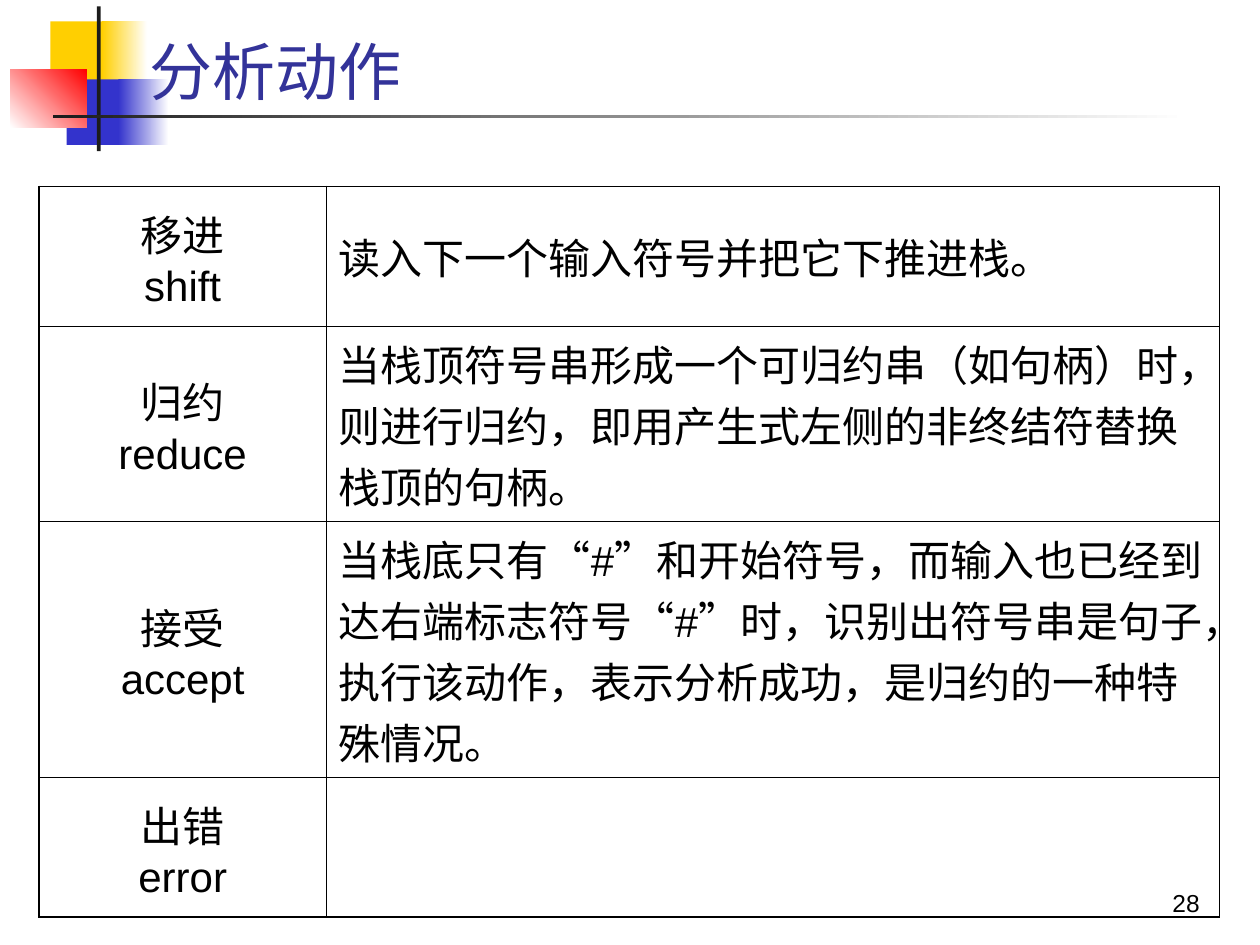
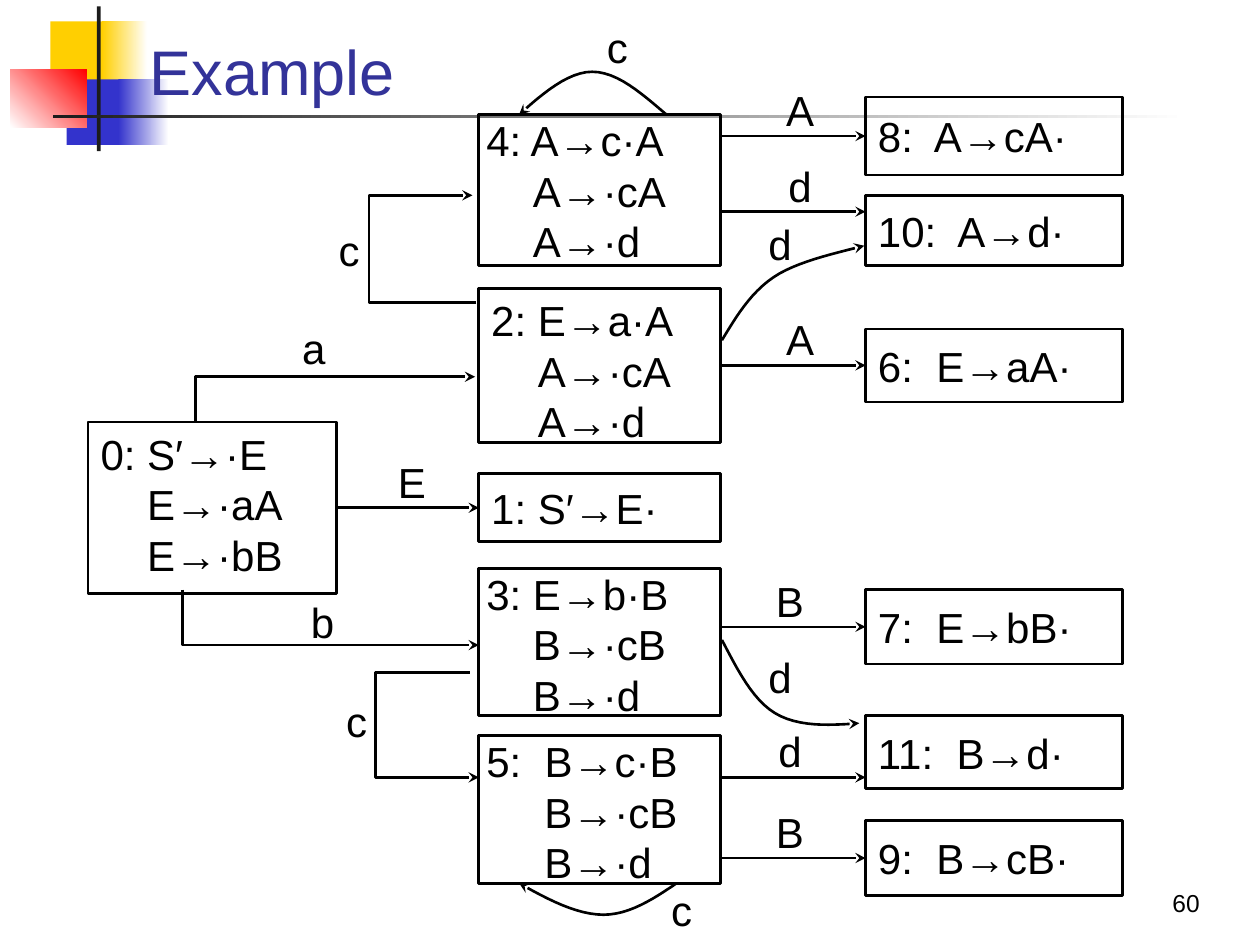
from dataclasses import dataclass

from lxml import etree
from pptx import Presentation
from pptx.dml.color import RGBColor
from pptx.enum import shapes, text
from pptx.oxml import ns
from pptx.util import Inches, Pt


@dataclass(frozen=True)
class Theme:
    font: str = "Arial"
    title_size: int = 36
    body_size: int = 24
    number_size: int = 14
    ink: str = "000000"
    title: str = "333399"
    bar: str = "1C1C1C"
    yellow: str = "FFCF01"
    blue: str = "3333CC"
    red: str = "FF0000"
    white: str = "FFFFFF"
    line: float = 1.5
    border: float = 1


THEME = Theme()
WIDTH, HEIGHT = 10, 7.5
TOP, MIDDLE, BOTTOM = text.MSO_ANCHOR.TOP, text.MSO_ANCHOR.MIDDLE, text.MSO_ANCHOR.BOTTOM
LEFT, CENTER, RIGHT = text.PP_ALIGN.LEFT, text.PP_ALIGN.CENTER, text.PP_ALIGN.RIGHT

# Place, then one colour, or two colours and the angle between them
ORNAMENT = [
    ((0.40, 0.17, 0.48, 0.52), (THEME.yellow,)),
    ((0.81, 0.17, 0.36, 0.52), (THEME.yellow, THEME.white, 0)),
    ((0.53, 0.63, 0.46, 0.52), (THEME.blue,)),
    ((0.94, 0.63, 0.40, 0.52), (THEME.blue, THEME.white, 0)),
    ((0.08, 0.55, 0.61, 0.46), (THEME.white, THEME.red, 45)),
    ((0.77, 0.05, 0.03, 1.15), (THEME.bar,)),
    ((0.42, 0.91, 9.00, 0.03), (THEME.bar, THEME.white, 0)),
]

ACTIONS = [
    (("移进", "shift"), "读入下一个输入符号并把它下推进栈。"),
    (("归约", "reduce"),
     "当栈顶符号串形成一个可归约串（如句柄）时，则进行归约，即用产生式左侧的非终结符替换栈顶的句柄。"),
    (("接受", "accept"),
     "当栈底只有“#”和开始符号，而输入也已经到达右端标志符号“#”时，识别出符号串是句子，"
     "执行该动作，表示分析成功，是归约的一种特殊情况。"),
    (("出错", "error"), ""),
]
ACTION_COLUMNS = (2.28, 7.09)
ACTION_ROWS = (1.11, 1.55, 2.03, 1.11)

# Columns of the automaton: left edge and width of their states
START, CLOSURE, FINAL = (0.7, 1.97), (3.8, 1.92), (6.87, 2.04)
ROOMY, TIGHT = (0.1, 0.05), (0.06, 0)  # left and top insets

# number: (column, top, height, insets, indent of later items, items)
STATES = {
    0: (START, 3.35, 1.36, ROOMY, 0.37, ("0: S′→·E", "E→·aA", "E→·bB")),
    4: (CLOSURE, 0.91, 1.20, TIGHT, 0.37, ("4: A→c·A", "A→·cA", "A→·d")),
    2: (CLOSURE, 2.29, 1.22, ROOMY, 0.37, ("2: E→a·A", "A→·cA", "A→·d")),
    1: (CLOSURE, 3.76, 0.54, ROOMY, 0, ("1: S′→E·",)),
    3: (CLOSURE, 4.51, 1.17, TIGHT, 0.37, ("3: E→b·B", "B→·cB", "B→·d")),
    5: (CLOSURE, 5.84, 1.17, TIGHT, 0.46, ("5:  B→c·B", "B→·cB", "B→·d")),
    8: (FINAL, 0.77, 0.62, ROOMY, 0, ("8:  A→cA·",)),
    10: (FINAL, 1.55, 0.56, ROOMY, 0, ("10:  A→d·",)),
    6: (FINAL, 2.61, 0.58, ROOMY, 0, ("6:  E→aA·",)),
    7: (FINAL, 4.68, 0.59, ROOMY, 0, ("7:  E→bB·",)),
    11: (FINAL, 5.68, 0.58, ROOMY, 0, ("11:  B→d·",)),
    9: (FINAL, 6.51, 0.60, ROOMY, 0, ("9:  B→cB·",)),
}

# (source, target, symbol, centre of the symbol, height or None for the target's middle)
STRAIGHT = [
    (0, 1, "E", 3.27, None),
    (4, 8, "A", 6.35, None),
    (4, 10, "d", 6.35, 1.68),
    (2, 6, "A", 6.35, None),
    (3, 7, "B", 6.27, None),
    (5, 11, "d", 6.27, 6.17),
    (5, 9, "B", 6.27, None),
]

# (symbol, centre of the symbol, corner points)
BENT = [
    ("c", (2.77, 1.98), [(3.78, 2.40), (2.93, 2.40), (2.93, 1.55), (3.75, 1.55)]),
    ("a", (2.49, 2.76), [(1.55, 3.34), (1.55, 2.99), (3.77, 2.99)]),
    ("b", (2.56, 4.93), [(1.45, 4.68), (1.45, 5.12), (3.80, 5.12)]),
    ("c", (2.83, 5.72), [(3.73, 5.34), (2.98, 5.34), (2.98, 6.17), (3.80, 6.17)]),
]

# (symbol, centre of the symbol, start, then two handles and an end per Bézier piece)
CURVED = [
    ("c", (4.90, 0.37), [(5.29, 0.91), (5.09, 0.74), (4.90, 0.57), (4.70, 0.57),
                         (4.51, 0.57), (4.31, 0.74), (4.12, 0.91)]),
    ("d", (6.19, 1.93), [(5.73, 2.70), (5.84, 2.52), (5.95, 2.33), (6.14, 2.20),
                         (6.32, 2.08), (6.59, 2.02), (6.86, 1.95)]),
    ("d", (6.19, 5.37), [(5.73, 5.08), (5.85, 5.31), (5.97, 5.55), (6.15, 5.66),
                         (6.33, 5.77), (6.58, 5.76), (6.82, 5.74)]),
    ("c", (5.41, 7.22), [(5.37, 7.01), (5.18, 7.14), (4.99, 7.26), (4.79, 7.26),
                         (4.58, 7.26), (4.35, 7.14), (4.12, 7.01)]),
]
CURVE_STEPS = 12


def rgb(color):
    return RGBColor.from_string(color)


def inches(*lengths):
    return [Inches(length) for length in lengths]


def write(frame, lines, size=THEME.body_size, color=THEME.ink, align=LEFT, anchor=MIDDLE):
    frame.text = "\n".join(lines)
    frame.vertical_anchor = anchor
    for para in frame.paragraphs:
        para.alignment = align
        para.font.size = Pt(size)
        for span in para.runs:
            span.font.name = THEME.font
            span.font.size = Pt(size)
            span.font.color.rgb = rgb(color)


def add_text(page, place, words, wrap=True, **style):
    frame = page.shapes.add_textbox(*inches(*place)).text_frame
    frame.word_wrap = wrap
    write(frame, [words], **style)
    return frame


def add_box(page, place):
    box = page.shapes.add_shape(shapes.MSO_SHAPE.RECTANGLE, *inches(*place))
    box.shadow.inherit = False
    return box


def add_page(deck, title, number):
    """Add a blank page with the ornament, title and page number."""
    page = deck.slides.add_slide(deck.slide_layouts[6])
    for place, (color, *blend) in ORNAMENT:
        box = add_box(page, place)
        box.line.fill.background()
        if blend:
            other, angle = blend
            box.fill.gradient()
            box.fill.gradient_angle = angle
            for stop, shade in zip(box.fill.gradient_stops, (color, other)):
                stop.color.rgb = rgb(shade)
        else:
            box.fill.solid()
            box.fill.fore_color.rgb = rgb(color)
    frame = add_text(page, (1.09, 0.23, 8.67, 0.68), title, size=THEME.title_size,
                     color=THEME.title, anchor=BOTTOM)
    frame.paragraphs[0].line_spacing = 0.85
    add_text(page, (7.54, 6.83, 2.08, 0.5), str(number), size=THEME.number_size,
             align=RIGHT, anchor=BOTTOM)
    return page


def add_borders(cell):
    properties = cell._tc.get_or_add_tcPr()
    for index, side in enumerate(("a:lnL", "a:lnR", "a:lnT", "a:lnB")):
        edge = etree.Element(ns.qn(side), w=str(Pt(THEME.border)))
        fill = etree.SubElement(edge, ns.qn("a:solidFill"))
        etree.SubElement(fill, ns.qn("a:srgbClr"), val=THEME.ink)
        properties.insert(index, edge)


def add_action_table(page):
    place = (0.31, 1.48, sum(ACTION_COLUMNS), sum(ACTION_ROWS))
    table = page.shapes.add_table(len(ACTIONS), 2, *inches(*place)).table
    table.first_row = table.horz_banding = False
    for column, width in zip(table.columns, ACTION_COLUMNS):
        column.width = Inches(width)
    for row, height, (names, meaning) in zip(table.rows, ACTION_ROWS, ACTIONS):
        row.height = Inches(height)
        for cell, lines, align in zip(row.cells, (names, [meaning]), (CENTER, LEFT)):
            cell.fill.background()
            add_borders(cell)
            write(cell.text_frame, lines, align=align)
            cell.vertical_anchor = MIDDLE


def add_state(page, column, top, height, insets, indent, items):
    left, width = column
    box = add_box(page, (left, top, width, height))
    box.fill.background()
    box.line.color.rgb = rgb(THEME.ink)
    box.line.width = Pt(THEME.line)
    frame = box.text_frame
    frame.margin_left, frame.margin_top = inches(*insets)
    write(frame, items, anchor=TOP if len(items) > 1 else MIDDLE)
    for para in frame.paragraphs[1:]:
        para._p.get_or_add_pPr().set("marL", str(Inches(indent)))
    return box


def style_arrow(arrow):
    arrow.line.color.rgb = rgb(THEME.ink)
    arrow.line.width = Pt(THEME.line)
    etree.SubElement(arrow.line._get_or_add_ln(), ns.qn("a:tailEnd"), type="stealth")


def add_symbol(page, symbol, center):
    x, y = center
    width, height = 0.58, 0.42
    add_text(page, (x - width / 2, y - height / 2, width, height), symbol,
             wrap=False, align=CENTER)


def add_straight(page, source, target, symbol, x, height):
    middle = target.top + target.height // 2
    y = middle if height is None else Inches(height)
    arrow = page.shapes.add_connector(shapes.MSO_CONNECTOR.STRAIGHT,
                                      source.left + source.width, y, target.left, y)
    if abs(source.top + source.height // 2 - y) < Inches(0.01):
        arrow.begin_connect(source, 3)
    if height is None:
        arrow.end_connect(target, 1)
    style_arrow(arrow)
    etree.SubElement(arrow._element.spPr, ns.qn("a:effectLst"))
    add_symbol(page, symbol, (x, y / Inches(1) - 0.21))


def add_route(page, symbol, center, points):
    start, *rest = [inches(*point) for point in points]
    builder = page.shapes.build_freeform(*start)
    builder.add_line_segments(rest, close=False)
    route = builder.convert_to_shape()
    route.shadow.inherit = False
    route.fill.background()
    style_arrow(route)
    add_symbol(page, symbol, center)


def trace_curve(points):
    """Return points along the chained cubic Bézier pieces."""
    traced = [points[0]]
    for first in range(0, len(points) - 1, 3):
        piece = points[first:first + 4]
        for step in range(1, CURVE_STEPS + 1):
            t = step / CURVE_STEPS
            weights = ((1 - t) ** 3, 3 * t * (1 - t) ** 2, 3 * t * t * (1 - t), t ** 3)
            traced.append(tuple(sum(w * v for w, v in zip(weights, axis))
                                for axis in zip(*piece)))
    return traced


def add_automaton(page):
    boxes = {number: add_state(page, *state) for number, state in STATES.items()}
    for source, target, *rest in STRAIGHT:
        add_straight(page, boxes[source], boxes[target], *rest)
    for symbol, center, points in BENT:
        add_route(page, symbol, center, points)
    for symbol, center, points in CURVED:
        add_route(page, symbol, center, trace_curve(points))


def main():
    deck = Presentation()
    deck.slide_width, deck.slide_height = inches(WIDTH, HEIGHT)
    add_action_table(add_page(deck, "分析动作", 28))
    add_automaton(add_page(deck, "Example", 60))
    deck.save("out.pptx")


if __name__ == "__main__":
    main()
